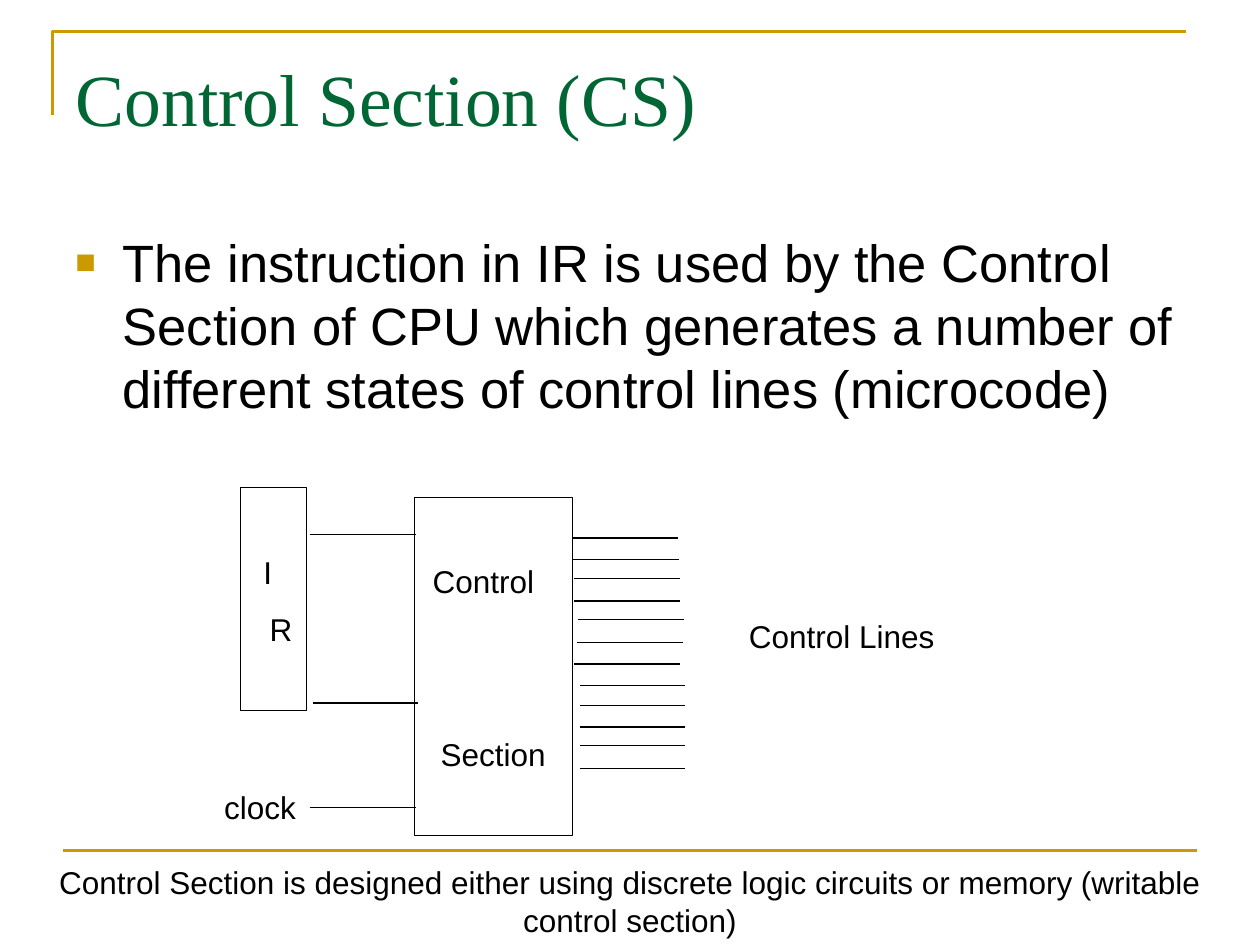
from dataclasses import dataclass
from lxml.etree import SubElement
from pptx import Presentation
from pptx.dml.color import RGBColor
from pptx.enum.shapes import MSO_CONNECTOR, MSO_SHAPE
from pptx.enum.text import MSO_ANCHOR, PP_ALIGN
from pptx.oxml.ns import qn
from pptx.util import Pt


@dataclass(frozen=True)
class Theme:
    gold: RGBColor = RGBColor(0xCC, 0x99, 0x00)
    green: RGBColor = RGBColor(0x00, 0x66, 0x33)
    black: RGBColor = RGBColor(0, 0, 0)
    heading: str = "Times New Roman"
    text: str = "Arial"
    title_size: float = 42
    body_size: float = 30
    label_size: float = 18
    body_leading: float = 36
    label_leading: float = 21.5


theme = Theme()


def write(para, text, size=theme.label_size, font=theme.text, color=theme.black,
          align=PP_ALIGN.CENTER, leading=theme.label_leading, before=0):
    para.alignment = align
    para.space_before = Pt(before)
    if leading:
        para.line_spacing = Pt(leading)
    span = para.add_run()
    span.text = text
    span.font.size = Pt(size)
    span.font.name = font
    span.font.color.rgb = color


def draw_line(x1, y1, x2, y2, color=theme.black, width=0.75):
    line = page.shapes.add_connector(
        MSO_CONNECTOR.STRAIGHT, Pt(x1), Pt(y1), Pt(x2), Pt(y2))
    line.line.color.rgb = color
    line.line.width = Pt(width)
    SubElement(line._element.spPr, qn("a:effectLst"))


deck = Presentation()
deck.slide_width, deck.slide_height = Pt(720), Pt(540)
page = deck.slides.add_slide(deck.slide_layouts[5])

# Gold corner and footer rule
builder = page.shapes.build_freeform(Pt(30), Pt(66), scale=1.0)
builder.add_line_segments([(Pt(30), Pt(18)), (Pt(678), Pt(18))], close=False)
corner = builder.convert_to_shape()
corner.shadow.inherit = False
corner.fill.background()
corner.line.color.rgb = theme.gold
corner.line.width = Pt(1.5)
draw_line(36, 486, 684, 486, color=theme.gold, width=1.5)

# Title
title = page.shapes.title
title.left, title.top, title.width, title.height = Pt(36), Pt(26.5), Pt(648), Pt(86)
title.text_frame.vertical_anchor = MSO_ANCHOR.TOP
write(title.text_frame.paragraphs[0], "Control Section (CS)", size=theme.title_size,
      font=theme.heading, color=theme.green, align=PP_ALIGN.LEFT, leading=None)

# Bulleted statement
body = page.shapes.add_textbox(Pt(36), Pt(128), Pt(684), Pt(412))
body.text_frame.word_wrap = True
para = body.text_frame.paragraphs[0]
write(para, "The instruction in IR is used by the Control Section of CPU which generates "
      "a number of different states of control lines (microcode)",
      size=theme.body_size, align=PP_ALIGN.LEFT, leading=theme.body_leading)
properties = para._p.get_or_add_pPr()
properties.set("marL", str(Pt(27)))
properties.set("indent", str(-Pt(27)))
bullet_color = SubElement(properties, qn("a:buClr"))
SubElement(bullet_color, qn("a:srgbClr"), val=str(theme.gold))
SubElement(properties, qn("a:buSzPct"), val="65000")
SubElement(properties, qn("a:buFont"), typeface=theme.text)
SubElement(properties, qn("a:buChar"), char="■")

# Register and control blocks: frame, top inset, then (text, left margin, space before)
blocks = [
    ((137.5, 278.6, 37.5, 127.4), 37.7, [("I", 13, 0), ("R", 16.5, 11)]),
    ((237, 284.4, 90, 193), 36.9, [("Control", 10.2, 0), ("Section", 14.8, 77.5)]),
]
for frame, inset, rows in blocks:
    block = page.shapes.add_shape(MSO_SHAPE.RECTANGLE, *map(Pt, frame))
    block.shadow.inherit = False
    block.fill.background()
    block.line.color.rgb = theme.black
    block.line.width = Pt(0.75)
    text_frame = block.text_frame
    text_frame.word_wrap = True
    text_frame.vertical_anchor = MSO_ANCHOR.TOP
    text_frame.margin_left = text_frame.margin_right = 0
    text_frame.margin_top = Pt(inset)
    for index, (text, margin, before) in enumerate(rows):
        para = text_frame.add_paragraph() if index else text_frame.paragraphs[0]
        write(para, text, align=PP_ALIGN.LEFT, before=before)
        para._p.get_or_add_pPr().set("marL", str(Pt(margin)))

# Output control lines, then inputs from the register and the clock
line_length = 60.5
outputs = [(326.9, 307.4), (327.6, 319.7), (328.3, 330.5), (328.3, 343.4),
           (330.5, 354.2), (329.8, 367.2), (328.3, 379.4), (331.2, 391.7),
           (331.2, 403.2), (331.2, 415.4), (331.2, 426.2), (331.2, 439.2)]
inputs = [(177, 305.3), (178.6, 401.8), (177, 461.5)]
for x, y in outputs + inputs:
    draw_line(x, y, x + line_length, y)

# Labels and closing note
labels = [
    ("clock", (116.6, 447.1, 64.1, 28.8)),
    ("Control Lines", (406.8, 349.2, 148.3, 28.8)),
    ("Control Section is designed either using discrete logic circuits or memory "
     "(writable control section)", (0, 490, 720, 50)),
]
for text, frame in labels:
    label = page.shapes.add_textbox(*map(Pt, frame))
    label.text_frame.word_wrap = True
    write(label.text_frame.paragraphs[0], text)

deck.save("out.pptx")
